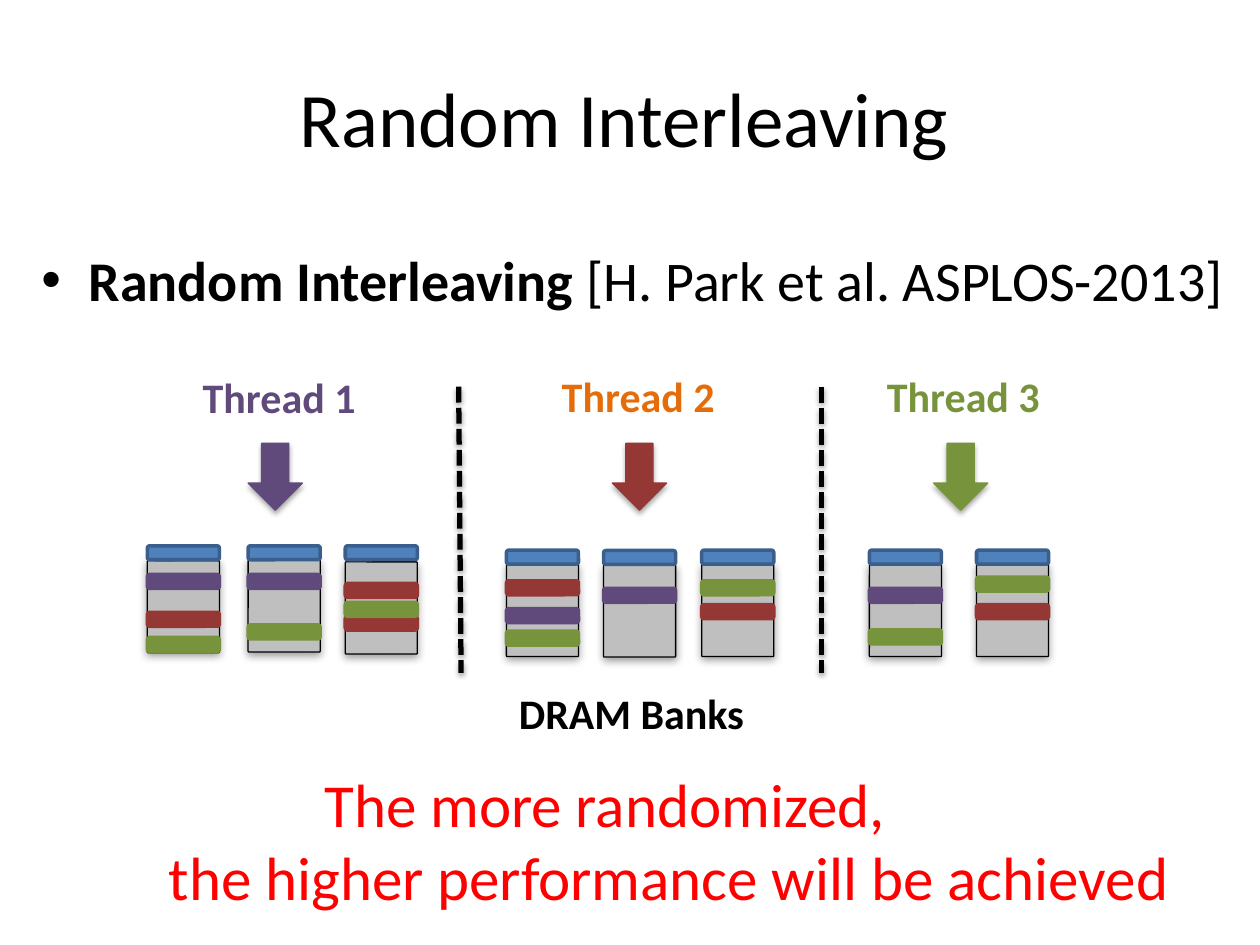
"""Build the slide on random interleaving of threads over DRAM banks."""
from lxml import etree
from pptx import Presentation
from pptx.dml.color import RGBColor
from pptx.enum.dml import MSO_LINE
from pptx.enum.shapes import MSO_CONNECTOR, MSO_SHAPE
from pptx.enum.text import MSO_ANCHOR, PP_ALIGN
from pptx.oxml.ns import qn
from pptx.util import Pt

ROUNDED, ARROW = MSO_SHAPE.ROUNDED_RECTANGLE, MSO_SHAPE.DOWN_ARROW
STRAIGHT, DASH = MSO_CONNECTOR.STRAIGHT, MSO_LINE.SQUARE_DOT
CENTER, LEFT = PP_ALIGN.CENTER, PP_ALIGN.LEFT
TOP, MIDDLE = MSO_ANCHOR.TOP, MSO_ANCHOR.MIDDLE

BLACK, RED_TEXT, ORANGE = "000000", "FF0000", "E46C0A"
PURPLE, RED, GREEN = "604A7B", "953735", "77933C"
GREY, BLUE, DARK_BLUE = "BFBFBF", "4F81BD", "3A5F8C"
BANK_WIDTH, BANK_HEIGHT, ROW_HEIGHT = 41.2, 52.6, 8
BANK_SHADOW, ARROW_SHADOW, LINE_SHADOW = (38, 5, 1.6), (35, 3.1, 1.8), (38, 3.1, 1.6)

THREADS = [
    ("Thread 1", PURPLE, PURPLE, 108.7, 208.8, 141.8),
    ("Thread 2", ORANGE, RED, 313.9, 208, 349.9),
    ("Thread 3", GREEN, GREEN, 499.7, 208, 533.5),
]
BANKS = [
    (84.2, 311.9, 320.4, [(PURPLE, 328.3), (RED, 349.9), (GREEN, 364.3)]),
    (141.8, 311.9, 320, [(PURPLE, 328.3), (GREEN, 357.1)]),
    (197.3, 311.9, 321.1, [(RED, 333.4), (RED, 352.1), (GREEN, 344.2)]),
    (289.4, 314.4, 322.6, [(PURPLE, 347.8), (RED, 331.9), (GREEN, 360.7)]),
    (344.9, 314.6, 322.9, [(PURPLE, 336.2)]),
    (401, 314.4, 322.6, [(RED, 345.6), (GREEN, 331.9)]),
    (496.8, 314.4, 322.6, [(PURPLE, 336.2), (GREEN, 360)]),
    (558, 314.4, 322.6, [(RED, 345.6), (GREEN, 329.8)]),
]
DIVIDERS = [(262.1, 263.5), (469.4, 469.4)]


def rgb(value):
    return RGBColor.from_string(value)


def apply(target, values):
    for name, value in values.items():
        setattr(target, name, value)


class Deck:
    """Hold the font and the current slide, and draw each kind of element."""

    font = "Calibri"

    def __init__(self, slide):
        self.slide = slide

    def text(self, box, paragraphs, size, color=BLACK, align=LEFT, anchor=TOP):
        frame = self.slide.shapes.add_textbox(*map(Pt, box)).text_frame
        apply(frame, {"word_wrap": True, "vertical_anchor": anchor})
        for index, runs in enumerate(paragraphs):
            paragraph = frame.add_paragraph() if index else frame.paragraphs[0]
            paragraph.alignment = align
            for words, bold in runs:
                run = paragraph.add_run()
                run.text = words
                apply(run.font, {"name": self.font, "size": Pt(size), "bold": bold})
                run.font.color.rgb = rgb(color)
        return frame.paragraphs

    def indent(self, paragraph, margin, first, bullet=None):
        properties = paragraph._p.get_or_add_pPr()
        properties.set("marL", str(Pt(margin)))
        properties.set("indent", str(Pt(first)))
        if bullet:
            etree.SubElement(properties, qn("a:buFont"), typeface="Arial")
            etree.SubElement(properties, qn("a:buChar"), char=bullet)

    def shadow(self, effects, opacity, blur, distance):
        outer = etree.SubElement(
            effects, qn("a:outerShdw"), blurRad=str(Pt(blur)),
            dist=str(Pt(distance)), dir="5400000", rotWithShape="0")
        color = etree.SubElement(outer, qn("a:srgbClr"), val=BLACK)
        etree.SubElement(color, qn("a:alpha"), val=str(opacity * 1000))

    def shape(self, kind, box, fill, line, width, shadow=None, corner=None):
        shape = self.slide.shapes.add_shape(kind, *map(Pt, box))
        shape.shadow.inherit = False
        shape.fill.solid()
        shape.fill.fore_color.rgb = rgb(fill)
        shape.line.color.rgb = rgb(line)
        shape.line.width = Pt(width)
        if corner is not None:
            shape.adjustments[0] = corner
        if shadow:
            self.shadow(shape._element.spPr.find(qn("a:effectLst")), *shadow)

    def row(self, left, top, fill, line):
        self.shape(ROUNDED, (left, top, BANK_WIDTH, ROW_HEIGHT), fill, line, 2)

    def bank(self, left, cap_top, body_top, rows):
        self.shape(ROUNDED, (left, body_top, BANK_WIDTH, BANK_HEIGHT),
                   GREY, BLACK, 0.75, BANK_SHADOW, 0.013)
        self.row(left, cap_top, BLUE, DARK_BLUE)
        for color, top in rows:
            self.row(left, top, color, color)

    def divider(self, start, end, top, bottom):
        line = self.slide.shapes.add_connector(
            STRAIGHT, Pt(start), Pt(top), Pt(end), Pt(bottom))
        line.line.color.rgb = rgb(BLACK)
        apply(line.line, {"width": Pt(3), "dash_style": DASH})
        effects = etree.SubElement(line._element.spPr, qn("a:effectLst"))
        self.shadow(effects, *LINE_SHADOW)


def main():
    presentation = Presentation()
    apply(presentation, {"slide_width": Pt(720), "slide_height": Pt(540)})
    deck = Deck(presentation.slides.add_slide(presentation.slide_layouts[6]))

    deck.text((-6.5, 21.6, 726.5, 90), [[("Random Interleaving", False)]],
              44, align=CENTER, anchor=MIDDLE)
    citation = deck.text((16.6, 136.8, 710.6, 69.8), [[
        ("Random Interleaving ", True), ("[H. Park et al. ASPLOS-2013]", False)]], 32)
    deck.indent(citation[0], 27, -27, "•")

    for bank in BANKS:
        deck.bank(*bank)
    for name, label_color, arrow_color, label_left, label_top, arrow_left in THREADS:
        deck.shape(ARROW, (arrow_left, 253.4, 31, 38.2),
                   arrow_color, arrow_color, 0.75, ARROW_SHADOW)
        deck.text((label_left, label_top, 120, 36), [[(name, True)]], 24, label_color)
    for start, end in DIVIDERS:
        deck.divider(start, end, 221, 384.5)
    deck.text((289.4, 389.5, 157.7, 36), [[("DRAM Banks", True)]], 24)

    conclusion = deck.text((89.3, 434.2, 589, 94.3), [
        [("The more randomized,", False)],
        [("the higher performance will be achieved", False)]], 34.9, RED_TEXT)
    deck.indent(conclusion[0], 0, 89)
    presentation.save("out.pptx")


if __name__ == "__main__":
    main()
